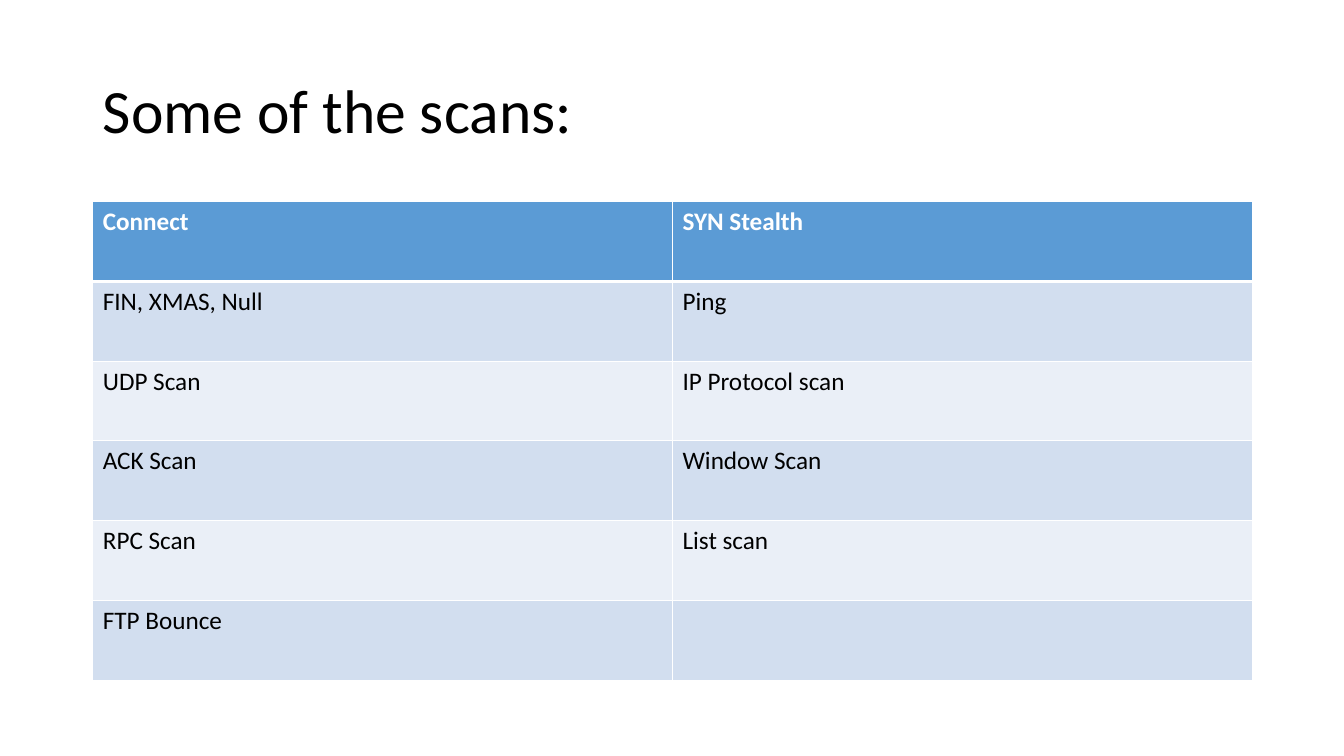
from lxml.etree import SubElement
from pptx import Presentation
from pptx.dml.color import RGBColor
from pptx.enum.text import MSO_ANCHOR, PP_ALIGN
from pptx.oxml.ns import qn
from pptx.util import Inches, Pt

COLORS = {
    "title": "000000",
    "header": "5B9BD5",
    "header_text": "FFFFFF",
    "odd_row": "D2DEEF",
    "even_row": "EAEFF7",
    "body_text": "000000",
    "border": "FFFFFF",
}
FONT = "Calibri"
LEFT, WIDTH = Inches(0.92), Inches(11.5)
SCANS = [
    ("Connect", "SYN Stealth"),
    ("FIN, XMAS, Null", "Ping"),
    ("UDP Scan", "IP Protocol scan"),
    ("ACK Scan", "Window Scan"),
    ("RPC Scan", "List scan"),
    ("FTP Bounce", ""),
]


def color(name):
    return RGBColor.from_string(COLORS[name])


def format_text(paragraph, size, color_name, bold=False):
    for run in paragraph.runs:
        run.font.name = FONT
        run.font.size = Pt(size)
        run.font.bold = bold
        run.font.color.rgb = color(color_name)


def set_title(slide, text):
    title = slide.shapes.title
    title.left, title.top = LEFT, Inches(0.4)
    title.width, title.height = WIDTH, Inches(1.45)
    frame = title.text_frame
    frame.text = text
    frame.word_wrap = True
    frame.vertical_anchor = MSO_ANCHOR.MIDDLE
    heading = frame.paragraphs[0]
    heading.alignment = PP_ALIGN.LEFT
    heading.line_spacing = 0.9
    format_text(heading, 44, "title")


def set_borders(cell, top, bottom):
    """Draw the cell's edges; top and bottom are widths in points."""
    properties = cell._tc.get_or_add_tcPr()
    for side, width in (("L", 1), ("R", 1), ("T", top), ("B", bottom)):
        line = SubElement(properties, qn(f"a:ln{side}"), w=str(Pt(width)))
        fill = SubElement(line, qn("a:solidFill"))
        SubElement(fill, qn("a:srgbClr"), val=COLORS["border"])


def add_scan_table(slide, scans):
    table = slide.shapes.add_table(
        len(scans), len(scans[0]), LEFT, Inches(2), WIDTH, Inches(4.75)
    ).table
    for row, names in enumerate(scans):
        is_header = row == 0
        row_fill = "header" if is_header else "odd_row" if row % 2 else "even_row"
        for column, name in enumerate(names):
            cell = table.cell(row, column)
            set_borders(cell, top=3 if row == 1 else 1, bottom=3 if is_header else 1)
            cell.fill.solid()
            cell.fill.fore_color.rgb = color(row_fill)
            cell.text_frame.text = name
            text_color = "header_text" if is_header else "body_text"
            format_text(cell.text_frame.paragraphs[0], 18, text_color, is_header)


def main():
    deck = Presentation()
    deck.slide_width, deck.slide_height = Inches(13.33), Inches(7.5)
    slide = deck.slides.add_slide(deck.slide_layouts.get_by_name("Title Only"))
    set_title(slide, "Some of the scans:")
    add_scan_table(slide, SCANS)
    deck.save("out.pptx")


if __name__ == "__main__":
    main()
